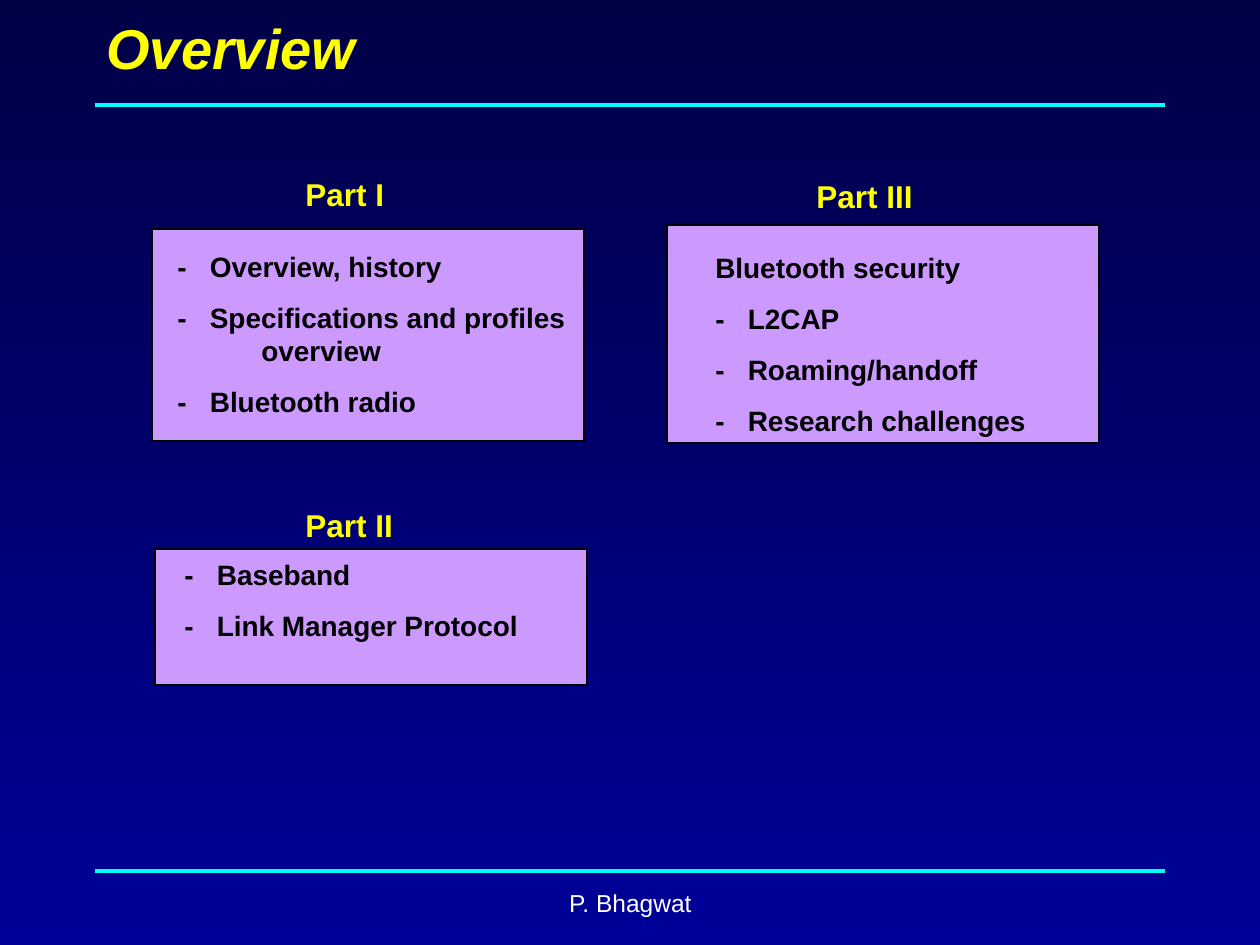
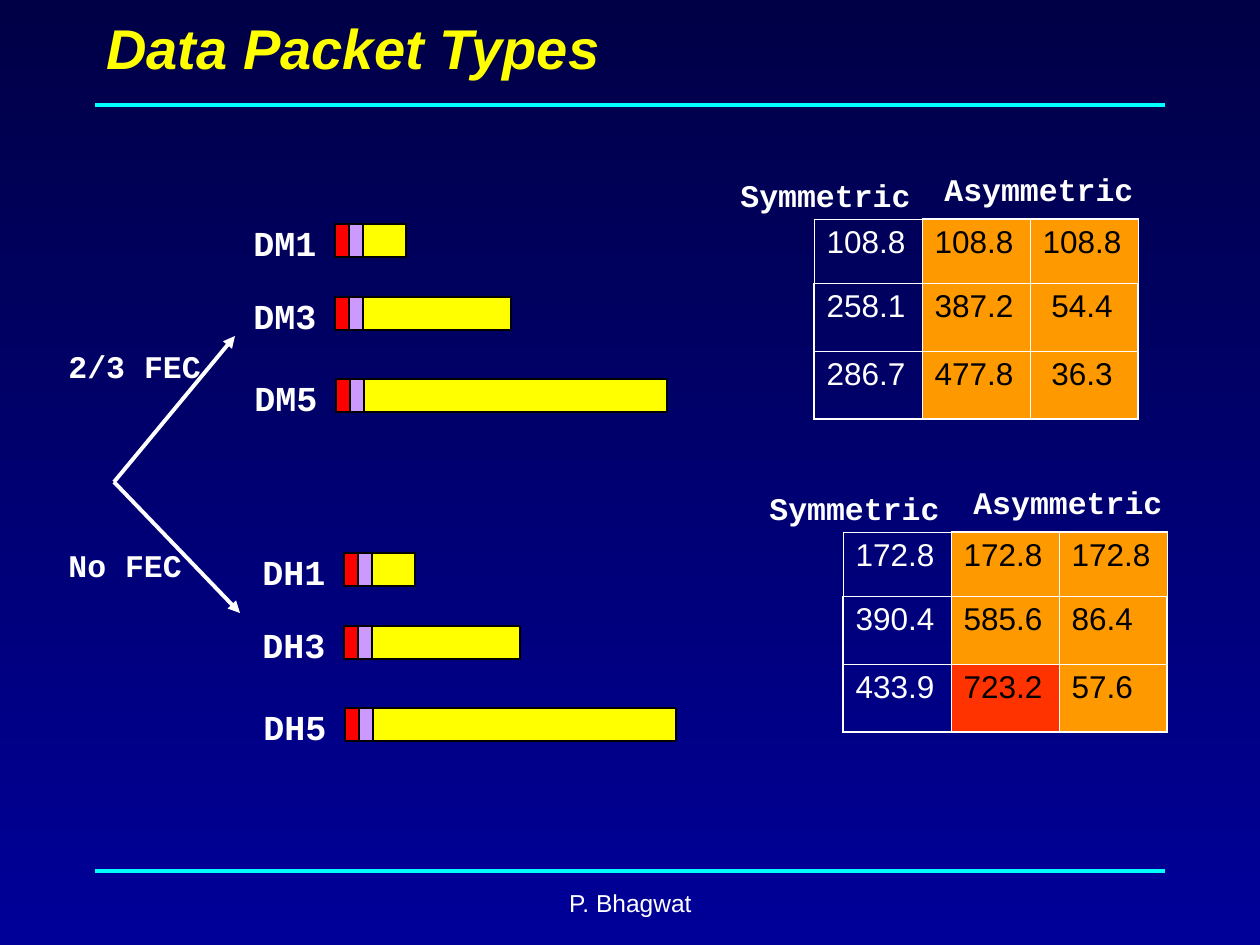
from lxml.etree import SubElement
from pptx import Presentation
from pptx.dml.color import RGBColor
from pptx.enum.shapes import MSO_CONNECTOR as CONNECTOR, MSO_SHAPE as SHAPE
from pptx.enum.text import MSO_ANCHOR as ANCHOR, MSO_AUTO_SIZE as AUTO_SIZE, PP_ALIGN as ALIGN
from pptx.oxml.ns import qn
from pptx.util import Pt

PX = 914400 // 126
NAVY = RGBColor(0x00, 0x00, 0x46)
BLUE = RGBColor(0x00, 0x00, 0x99)
CYAN = RGBColor(0x00, 0xFF, 0xFF)
YELLOW = RGBColor(0xFF, 0xFF, 0x00)
LILAC = RGBColor(0xCC, 0x99, 0xFF)
RED = RGBColor(0xFF, 0x00, 0x00)
ORANGE = RGBColor(0xFF, 0x99, 0x00)
VERMILION = RGBColor(0xFF, 0x33, 0x00)
WHITE = RGBColor(0xFF, 0xFF, 0xFF)
BLACK = RGBColor(0x00, 0x00, 0x00)
SANS = "Arial"
MONO = "Courier New"


def add_text(slide, place, text, size, colour, font=SANS, bold=True, wrap=False):
    frame = slide.shapes.add_textbox(*(n * PX for n in place)).text_frame
    frame.word_wrap = wrap
    frame.auto_size = AUTO_SIZE.NONE if wrap else AUTO_SIZE.SHAPE_TO_FIT_TEXT
    frame.text = text
    for paragraph in frame.paragraphs:
        for run in paragraph.runs:
            run.font.size = Pt(size)
            run.font.name = font
            run.font.bold = bold
            run.font.color.rgb = colour
    return frame


def add_box(slide, place, fill, border):
    box = slide.shapes.add_shape(SHAPE.RECTANGLE, *(n * PX for n in place))
    box.shadow.inherit = False
    box.fill.solid()
    box.fill.fore_color.rgb = fill
    box.line.color.rgb = BLACK
    box.line.width = Pt(border)


prs = Presentation()
prs.slide_width = 1260 * PX
prs.slide_height = 945 * PX
overview, packets = (prs.slides.add_slide(prs.slide_layouts[6]) for _ in range(2))

strokes = [
    (packets, (114, 482, 235, 336), WHITE, 2.25, True),
    (packets, (114, 482, 240, 613), WHITE, 2.25, True),
]
for slide, title in ((overview, "Overview"), (packets, "Data Packet Types")):
    backdrop = slide.background.fill
    backdrop.gradient()
    backdrop.gradient_angle = 270
    for stop, colour, position in zip(backdrop.gradient_stops, (NAVY, BLUE), (0, 1)):
        stop.color.rgb = colour
        stop.position = position
    strokes += [(slide, (95, y, 1165, y), CYAN, 2, False) for y in (105, 871)]

    heading = add_text(slide, (94, 0, 1071, 95), title, 32, YELLOW, wrap=True)
    heading.vertical_anchor = ANCHOR.MIDDLE
    heading.paragraphs[0].runs[0].font.italic = True
    footer = add_text(slide, (431, 882, 399, 63), "P. Bhagwat", 14, WHITE, bold=False, wrap=True)
    footer.paragraphs[0].alignment = ALIGN.CENTER

for slide, ends, colour, width, has_arrow in strokes:
    stroke = slide.shapes.add_connector(CONNECTOR.STRAIGHT, *(n * PX for n in ends))
    stroke.line.color.rgb = colour
    stroke.line.width = Pt(width)
    if has_arrow:
        SubElement(stroke.line._get_or_add_ln(), qn("a:tailEnd"), type="triangle")
    SubElement(stroke._element.spPr, qn("a:effectLst"))

parts = [
    ("Part I", (293, 169, 104, 50), (152, 229, 432, 212), (165, 243, 438, 183), 84,
     ["-   Overview, history", "-   Specifications and profiles overview", "-   Bluetooth radio"]),
    ("Part II", (293, 500, 113, 50), (155, 549, 432, 136), (172, 551, 438, 97), 84,
     ["-   Baseband", "-   Link Manager Protocol"]),
    ("Part III", (804, 171, 122, 50), (667, 225, 432, 218), (703, 244, 362, 200), 0,
     ["Bluetooth security", "-   L2CAP", "-   Roaming/handoff", "-   Research challenges"]),
]
for part, label_place, panel_place, topics_place, hang, topics in parts:
    add_text(overview, label_place, part, 18, YELLOW)
    add_box(overview, panel_place, LILAC, 1)
    frame = add_text(overview, topics_place, "\n".join(topics), 16, BLACK, wrap=True)
    for paragraph in frame.paragraphs:
        paragraph.space_before = Pt(10)
        properties = paragraph._p.get_or_add_pPr()
        properties.set("marL", str(hang * PX))
        properties.set("indent", str(-hang * PX))

FIELD = 14
for family, dx, dy in (("DM", 0, 0), ("DH", 9, 329)):
    for slots, x, y, payload in ((1, 335, 224, 43), (3, 335, 297, 148), (5, 336, 379, 303)):
        left, top = x + dx, y + dy
        add_text(packets, (left - 94, top - 9, 88, 55), f"{family}{slots}", 20, WHITE, MONO)
        for offset, width, colour in ((0, FIELD, RED), (2 * FIELD, payload, YELLOW), (FIELD, FIELD, LILAC)):
            add_box(packets, (left + offset, top, width, 33), colour, 0.75)

add_text(packets, (56, 341, 158, 50), "2/3 FEC", 18, WHITE, MONO)
add_text(packets, (56, 540, 139, 50), "No FEC", 18, WHITE, MONO)

COLUMN = 108
ROWS = (64, 68, 68)
rate_tables = [
    (814, 219, [["108.8", "108.8", "108.8"], ["258.1", "387.2", " 54.4"], ["286.7", "477.8", " 36.3"]]),
    (843, 532, [["172.8", "172.8", "172.8"], ["390.4", "585.6", "86.4"], ["433.9", "723.2", "57.6"]]),
]
for left, top, rates in rate_tables:
    add_text(packets, (left - 86, top - 49, 195, 50), "Symmetric", 18, WHITE, MONO)
    add_text(packets, (left + 118, top - 55, 214, 50), "Asymmetric", 18, WHITE, MONO)
    table = packets.shapes.add_table(3, 3, left * PX, top * PX, 3 * COLUMN * PX, sum(ROWS) * PX).table
    table.first_row = False
    table.horz_banding = False
    for column in table.columns:
        column.width = COLUMN * PX
    for r, height in enumerate(ROWS):
        table.rows[r].height = height * PX
        for c, rate in enumerate(rates[r]):
            cell = table.cell(r, c)
            cell.text = rate
            paragraph = cell.text_frame.paragraphs[0]
            paragraph.space_before = Pt(4.5)
            font = paragraph.runs[0].font
            font.size = Pt(18)
            font.name = SANS
            font.color.rgb = BLACK if c else WHITE

            heavy_edges = {
                "L": c == 0 and r > 0,
                "R": c == 2 and r > 0,
                "T": r == 0 and c > 0,
                "B": r == 2,
            }
            for edge, heavy in heavy_edges.items():
                border = SubElement(cell._tc.get_or_add_tcPr(), qn(f"a:ln{edge}"),
                                    w=str(Pt(1.08 if heavy else 0.45)))
                SubElement(SubElement(border, qn("a:solidFill")), qn("a:srgbClr"), val=str(WHITE))

            if c == 0:
                cell.fill.background()
            else:
                cell.fill.solid()
                cell.fill.fore_color.rgb = VERMILION if rate == "723.2" else ORANGE

prs.save("out.pptx")
